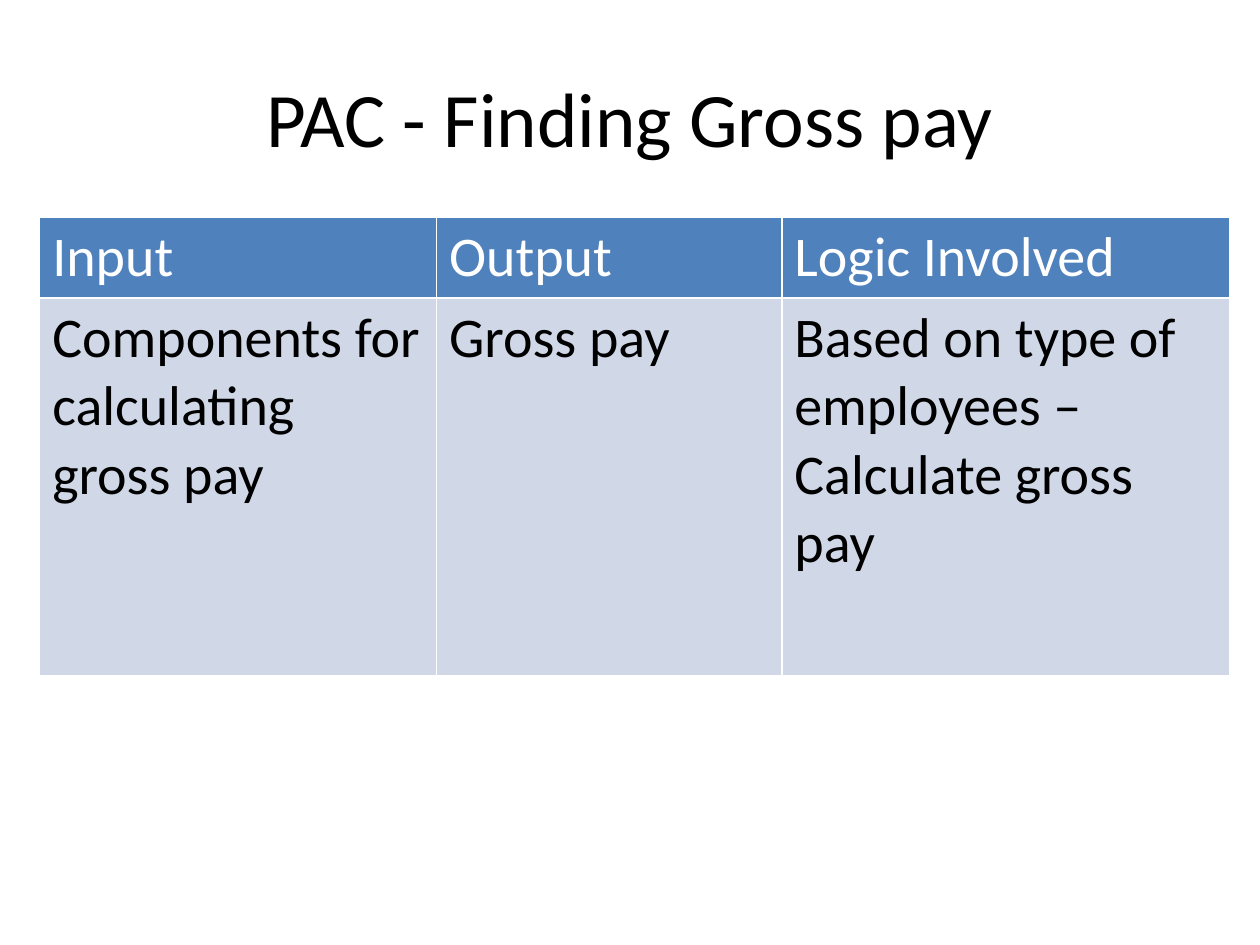
from lxml import etree
from pptx import Presentation
from pptx.dml.color import RGBColor
from pptx.enum.text import MSO_ANCHOR, PP_ALIGN
from pptx.oxml.ns import qn
from pptx.util import Cm, Pt

CENTER = PP_ALIGN.CENTER
MIDDLE = MSO_ANCHOR.MIDDLE
BLACK = RGBColor(0x00, 0x00, 0x00)
WHITE = RGBColor(0xFF, 0xFF, 0xFF)
HEADER_BLUE = RGBColor(0x4F, 0x81, 0xBD)
BODY_BLUE = RGBColor(0xD0, 0xD8, 0xE8)
FONT = "Calibri"
TITLE_ONLY = 5

COLUMN_WIDTHS = (8.0, 6.96, 9.04)
ROW_HEIGHTS = (1.62, 7.62)
PAC_ROWS = (
    ("Input", "Output", "Logic Involved"),
    (
        "Components for calculating gross pay",
        "Gross pay",
        "Based on type of employees – Calculate gross pay",
    ),
)
ROW_COLORS = ((HEADER_BLUE, WHITE), (BODY_BLUE, BLACK))


def format_text(frame, size, color):
    for paragraph in frame.paragraphs:
        for run in paragraph.runs:
            run.font.name = FONT
            run.font.size = Pt(size)
            run.font.bold = False
            run.font.color.rgb = color


def add_title(slide, text):
    title = slide.shapes.title
    title.left, title.top = Cm(1.27), Cm(0.76)
    title.width, title.height = Cm(22.86), Cm(3.18)
    title.text_frame.text = text
    title.text_frame.vertical_anchor = MIDDLE
    title.text_frame.paragraphs[0].alignment = CENTER
    format_text(title.text_frame, 44, BLACK)


def add_borders(cell, color, width):
    properties = cell._tc.get_or_add_tcPr()
    for position, side in enumerate(("lnL", "lnR", "lnT", "lnB")):
        line = etree.Element(qn(f"a:{side}"), w=str(Pt(width)))
        fill = etree.SubElement(line, qn("a:solidFill"))
        etree.SubElement(fill, qn("a:srgbClr"), val=str(color))
        properties.insert(position, line)


def fill_cell(cell, text, fill_color, text_color):
    cell.text_frame.text = text
    format_text(cell.text_frame, 32, text_color)
    cell.fill.solid()
    cell.fill.fore_color.rgb = fill_color
    add_borders(cell, WHITE, 1)


def add_pac_table(slide):
    pac = slide.shapes.add_table(
        len(PAC_ROWS), len(COLUMN_WIDTHS), Cm(0.8), Cm(4.37),
        Cm(sum(COLUMN_WIDTHS)), Cm(sum(ROW_HEIGHTS)),
    ).table
    for column, width in zip(pac.columns, COLUMN_WIDTHS):
        column.width = Cm(width)
    for row, height, texts, colors in zip(pac.rows, ROW_HEIGHTS, PAC_ROWS, ROW_COLORS):
        row.height = Cm(height)
        for cell, text in zip(row.cells, texts):
            fill_cell(cell, text, *colors)


def main():
    presentation = Presentation()
    presentation.slide_width, presentation.slide_height = Cm(25.4), Cm(19.05)
    slide = presentation.slides.add_slide(presentation.slide_layouts[TITLE_ONLY])
    add_title(slide, "PAC - Finding Gross pay")
    add_pac_table(slide)
    presentation.save("out.pptx")


main()
